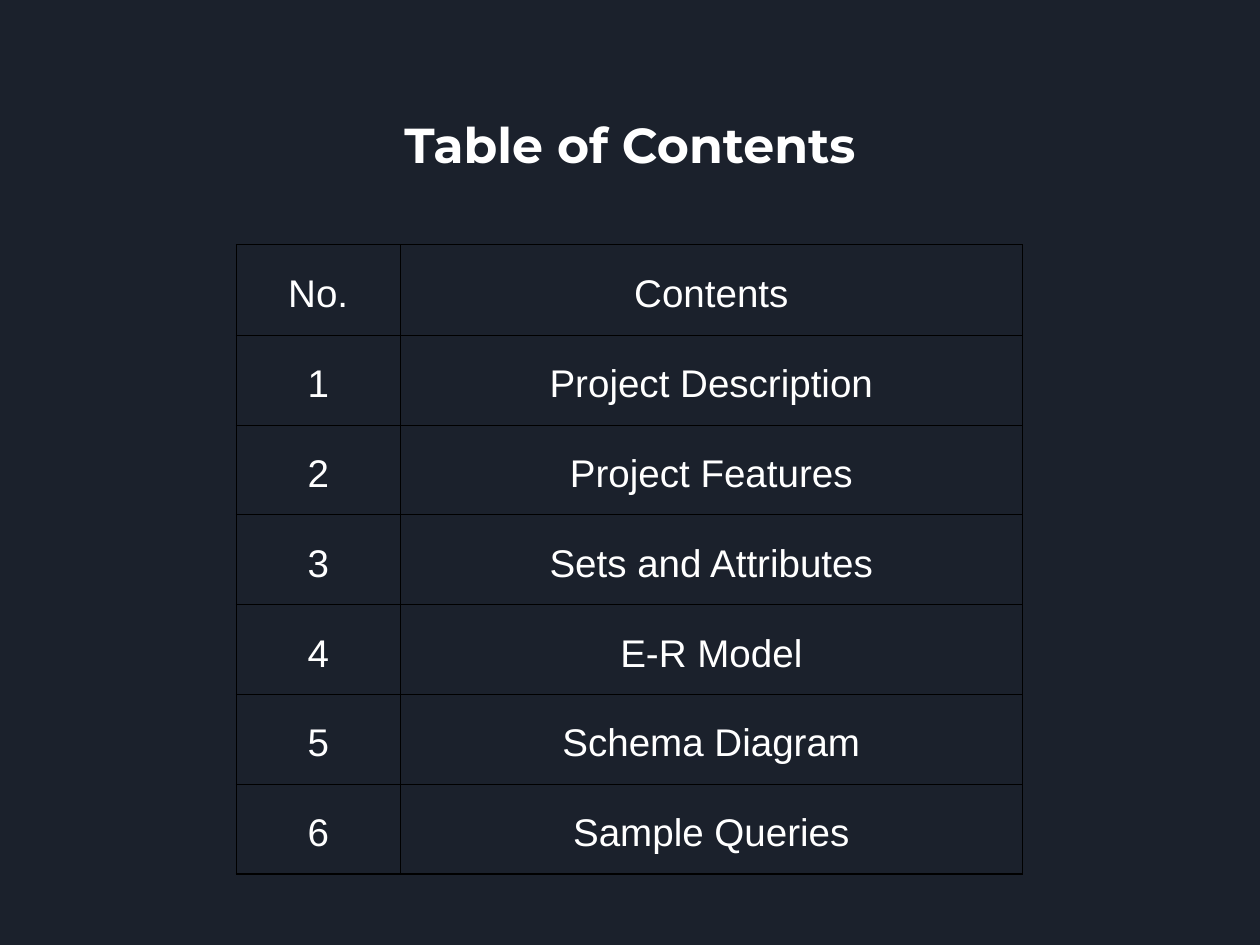
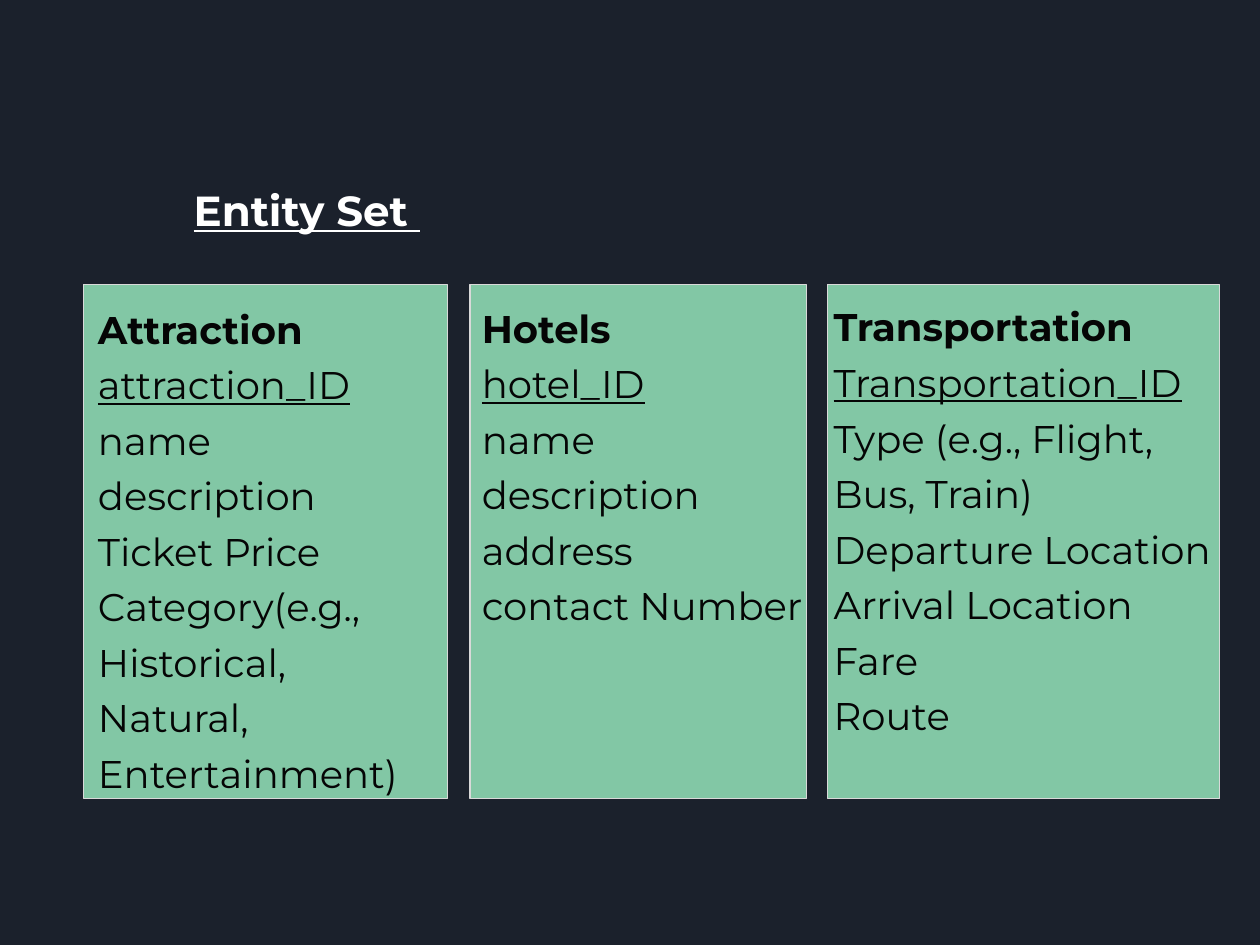
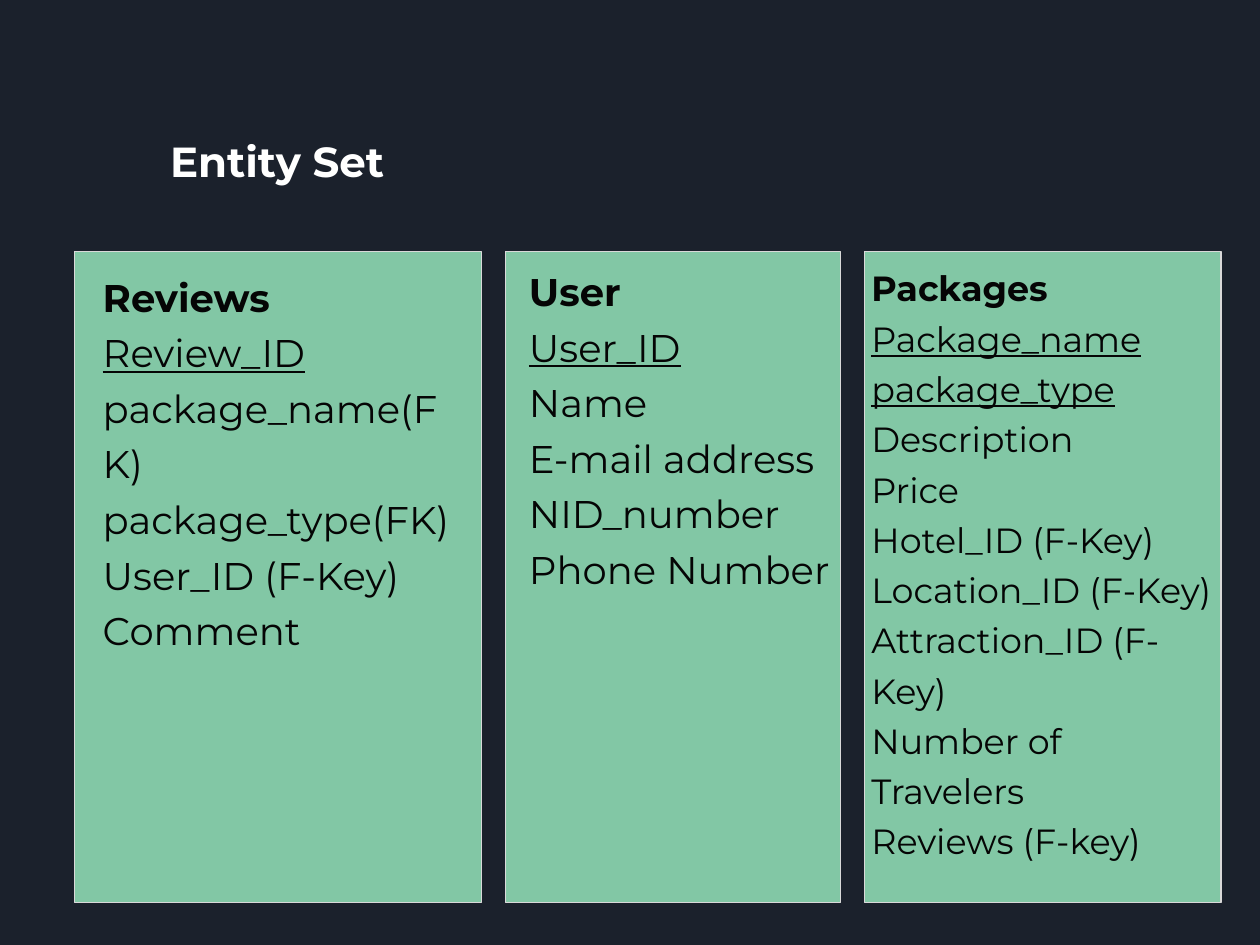
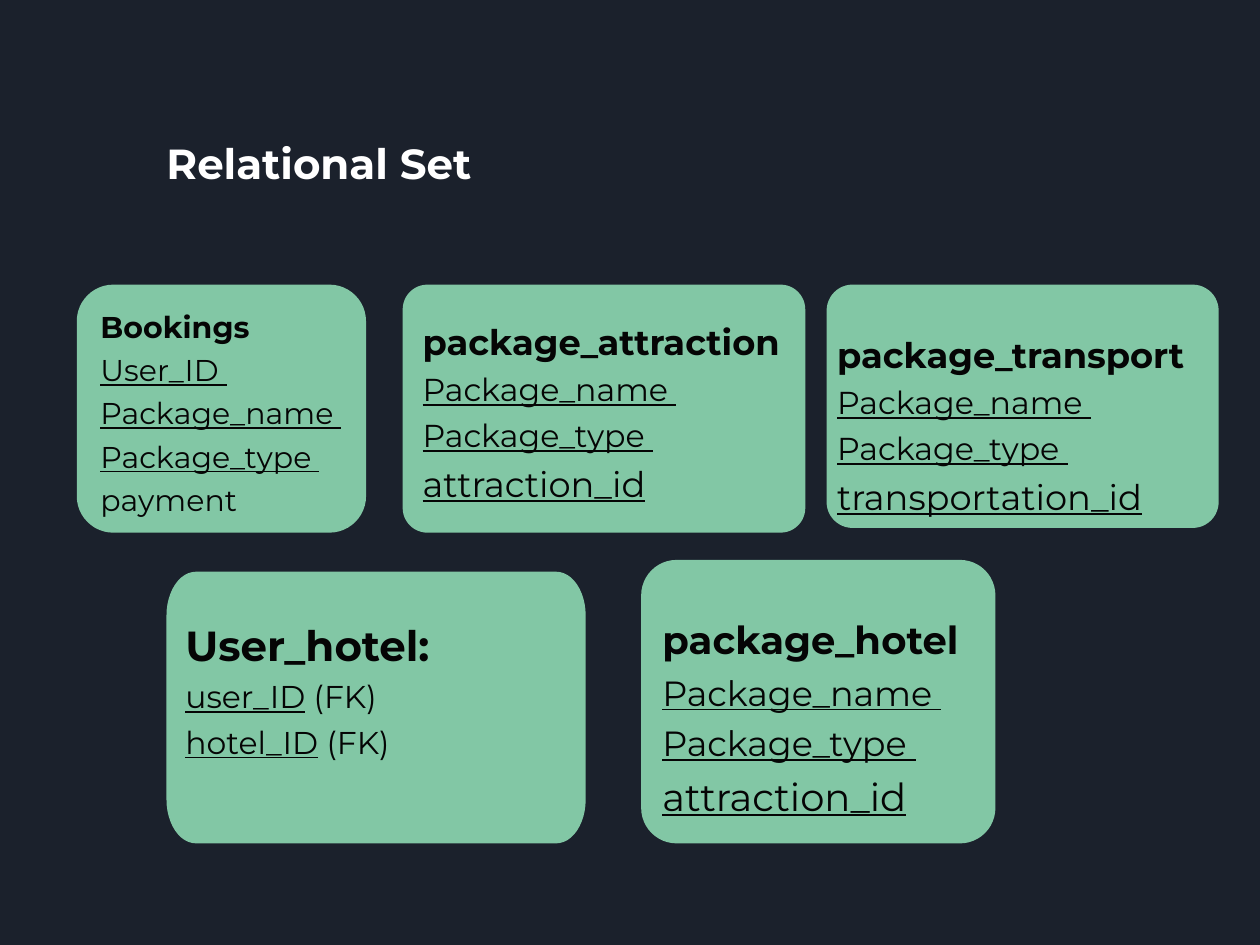
from collections import namedtuple
from math import cos, pi, sin

from lxml.etree import SubElement
from pptx import Presentation
from pptx.dml.color import RGBColor
from pptx.enum.shapes import MSO_SHAPE as Preset
from pptx.enum.text import MSO_ANCHOR as Anchor
from pptx.enum.text import MSO_AUTO_SIZE as AutoSize
from pptx.enum.text import PP_ALIGN as Align
from pptx.oxml.ns import qn
from pptx.util import Inches, Pt

COLORS = {
    "background": "1B212C",
    "title": "FFFFFF",
    "panel": "82C7A5",
    "panel_line": "D9D9D9",
    "ink": "050505",
    "grid": "000000",
}
HEADING_FONT = "Montserrat"
TABLE_FONT = "Arial"
LINE_SPACING = 1.2

Run = namedtuple("Run", "text size bold underline")


def head(text, size=None):
    return Run(text, size, True, False)


def key(text, size=None):
    return Run(text, size, False, True)


def plain(text, size=None):
    return Run(text, size, False, False)


def color(name):
    return RGBColor.from_string(COLORS[name])


class Deck:
    """Holds the shared style and the slide being built."""

    def __init__(self):
        self.presentation = Presentation()
        self.presentation.slide_width = Inches(10.67)
        self.presentation.slide_height = Inches(8)
        self.slide = None

    def new_slide(self):
        self.slide = self.presentation.slides.add_slide(self.presentation.slide_layouts[6])
        fill = self.slide.background.fill
        fill.solid()
        fill.fore_color.rgb = color("background")

    def add_runs(self, paragraph, runs, size, color_name, font_name=HEADING_FONT, align=Align.LEFT):
        paragraph.alignment = align
        paragraph.line_spacing = LINE_SPACING
        for item in runs:
            run = paragraph.add_run()
            run.text = item.text
            font = run.font
            font.name = font_name
            font.size = Pt(item.size or size)
            font.bold = item.bold
            font.underline = item.underline
            font.color.rgb = color(color_name)

    def text(self, left, top, width, height, lines, size, color_name="ink", align=Align.LEFT):
        """Each line is one Run or a list of Runs."""
        box = self.slide.shapes.add_textbox(Inches(left), Inches(top), Inches(width), Inches(height))
        frame = box.text_frame
        frame.word_wrap = True
        frame.auto_size = AutoSize.SHAPE_TO_FIT_TEXT
        frame.margin_left = frame.margin_top = frame.margin_right = frame.margin_bottom = 0
        for index, line in enumerate(lines):
            paragraph = frame.add_paragraph() if index else frame.paragraphs[0]
            runs = [line] if isinstance(line, Run) else line
            self.add_runs(paragraph, runs, size, color_name, align=align)

    def title(self, left, top, run, height=0.54):
        self.text(left, top, 8.01, height, [run], 25.6, "title")

    def paint(self, shape, outlined=False):
        shape.shadow.inherit = False
        shape.fill.solid()
        shape.fill.fore_color.rgb = color("panel")
        if outlined:
            shape.line.color.rgb = color("panel_line")
            shape.line.width = Pt(0.75)
        else:
            shape.line.fill.background()

    def panel(self, left, top, width, height):
        shape = self.slide.shapes.add_shape(
            Preset.RECTANGLE, Inches(left), Inches(top), Inches(width), Inches(height))
        self.paint(shape, outlined=True)

    def rounded_panel(self, left, top, width, height, radius):
        shape = self.slide.shapes.add_shape(
            Preset.ROUNDED_RECTANGLE, Inches(left), Inches(top), Inches(width), Inches(height))
        shape.adjustments[0] = radius / min(width, height)
        self.paint(shape)

    def oval_corner_panel(self, left, top, width, height, radius_x, radius_y, steps=12):
        """Panel whose corners are quarter ellipses."""
        west, east = left + radius_x, left + width - radius_x
        north, south = top + radius_y, top + height - radius_y
        centers = [(east, south), (west, south), (west, north), (east, north)]
        points = []
        for quarter, (x, y) in enumerate(centers):
            for step in range(steps + 1):
                angle = (quarter + step / steps) * pi / 2
                points.append((Inches(x + radius_x * cos(angle)), Inches(y + radius_y * sin(angle))))
        builder = self.slide.shapes.build_freeform(*points[0])
        builder.add_line_segments(points[1:], close=True)
        self.paint(builder.convert_to_shape())

    def table(self, left, top, widths, heights, rows):
        frame = self.slide.shapes.add_table(
            len(rows), len(widths), Inches(left), Inches(top),
            Inches(sum(widths)), Inches(sum(heights)))
        table = frame.table
        table.first_row = table.horz_banding = False
        for column, width in zip(table.columns, widths):
            column.width = Inches(width)
        for row, height, values in zip(table.rows, heights, rows):
            row.height = Inches(height)
            for cell, value in zip(row.cells, values):
                cell.vertical_anchor = Anchor.MIDDLE
                cell.margin_left = cell.margin_right = Inches(0.1)
                cell.margin_top = cell.margin_bottom = Inches(0.1)
                self.add_runs(cell.text_frame.paragraphs[0], [plain(value)], 23.5,
                              "title", TABLE_FONT, Align.CENTER)
                self.cell_borders(cell)
                cell.fill.background()

    def cell_borders(self, cell):
        properties = cell._tc.get_or_add_tcPr()
        for side in ("a:lnL", "a:lnR", "a:lnT", "a:lnB"):
            line = SubElement(properties, qn(side), w=str(Pt(0.75)))
            fill = SubElement(line, qn("a:solidFill"))
            SubElement(fill, qn("a:srgbClr"), val=COLORS["grid"])


def contents_slide(deck):
    deck.new_slide()
    deck.text(2.27, 0.87, 6.13, 0.83, [head("Table of Contents")], 29.9, "title", Align.CENTER)
    topics = ["Project Description", "Project Features", "Sets and Attributes",
              "E-R Model", "Schema Diagram", "Sample Queries"]
    rows = [("No.", "Contents")]
    rows += [(str(number), topic) for number, topic in enumerate(topics, 1)]
    deck.table(2, 2.07, [1.39, 5.27], [0.77] + [0.76] * len(topics), rows)


def places_slide(deck):
    deck.new_slide()
    deck.title(1.64, 1.48, Run("Entity Set ", None, True, True))
    for left, width in ((0.71, 3.08), (3.98, 2.85), (7.01, 3.32)):
        deck.panel(left, 2.41, width, 4.35)

    deck.text(0.83, 2.51, 2.83, 3.81, [
        head("Attraction"), key("attraction_ID"), plain("name"), plain("description"),
        plain("Ticket Price"), plain("Category(e.g., Historical, Natural, Entertainment)"),
    ], 23.5)
    deck.text(4.08, 2.5, 2.75, 3.24, [
        head("Hotels"), key("hotel_ID"), plain("name"), plain("description"),
        plain("address"), plain("contact Number"),
    ], 23.5)
    deck.text(7.06, 2.49, 3.2, 3.71, [
        head("Transportation"),
        [key("Transportation_ID "), plain("Type (e.g., Flight, Bus, Train)")],
        plain("Departure Location"), plain("Arrival Location"), plain("Fare"), plain("Route"),
    ], 23.5)


def people_slide(deck):
    deck.new_slide()
    deck.title(1.44, 1.06, head("Entity Set"), 0.43)
    for left, width in ((0.63, 3.45), (4.28, 2.84), (7.32, 3.02)):
        deck.panel(left, 2.13, width, 5.51)

    deck.text(0.87, 2.24, 2.97, 4.23, [
        head("Reviews"), key("Review_ID"), plain("package_name(FK)"),
        plain("package_type(FK)"), plain("User_ID (F-Key)"), plain("Comment"),
    ], 23.5)
    deck.text(4.48, 2.19, 2.74, 2.76, [
        head("User"), key("User_ID"), plain("Name"), plain("E-mail address"),
        plain("NID_number"), plain("Phone Number"),
    ], 23.5)
    deck.text(7.38, 2.19, 2.91, 5.1, [
        head("Packages"), key("Package_name"), key("package_type"), plain("Description"),
        plain("Price"), plain("Hotel_ID (F-Key)"), plain("Location_ID (F-Key)"),
        plain("Attraction_ID (F-Key)"), plain("Number of Travelers"), plain("Reviews (F-key)"),
    ], 21.3)


def relations_slide(deck):
    deck.new_slide()
    deck.title(1.41, 1.08, head("Relational Set"))

    # Panels
    deck.rounded_panel(0.65, 2.41, 2.45, 2.1, 0.31)
    deck.rounded_panel(3.41, 2.41, 3.41, 2.1, 0.21)
    deck.rounded_panel(7, 2.41, 3.32, 2.06, 0.22)
    deck.oval_corner_panel(1.41, 4.84, 3.55, 2.3, 0.25, 0.37)
    deck.rounded_panel(5.43, 4.74, 3, 2.4, 0.3)

    # Tables that involve a user
    package_keys = [key("Package_name "), key("Package_type ")]
    deck.text(0.85, 2.55, 2.71, 3.05,
              [head("Bookings"), key("User_ID "), *package_keys, plain("payment")], 18.3)
    deck.text(1.57, 5.16, 3.49, 1.62, [
        head("User_hotel:", 25.6),
        [key("user_ID"), plain(" (FK)")],
        [key("hotel_ID"), plain(" (FK)")],
    ], 19.2)

    # Tables that link a package to something else
    links = [
        (3.58, 2.64, 3.23, 2.48, "package_attraction", "attraction_id", 21.5, 19.3),
        (7.09, 2.75, 3.23, 2.48, "package_transport", "transportation_id", 21.5, 19.3),
        (5.61, 5.14, 3.49, 2.72, "package_hotel", "attraction_id", 23.5, 21.3),
    ]
    for left, top, width, height, name, linked_id, large, small in links:
        deck.text(left, top, width, height,
                  [head(name, large), *package_keys, key(linked_id, large)], small)


def main():
    deck = Deck()
    contents_slide(deck)
    places_slide(deck)
    people_slide(deck)
    relations_slide(deck)
    deck.presentation.save("out.pptx")


if __name__ == "__main__":
    main()
